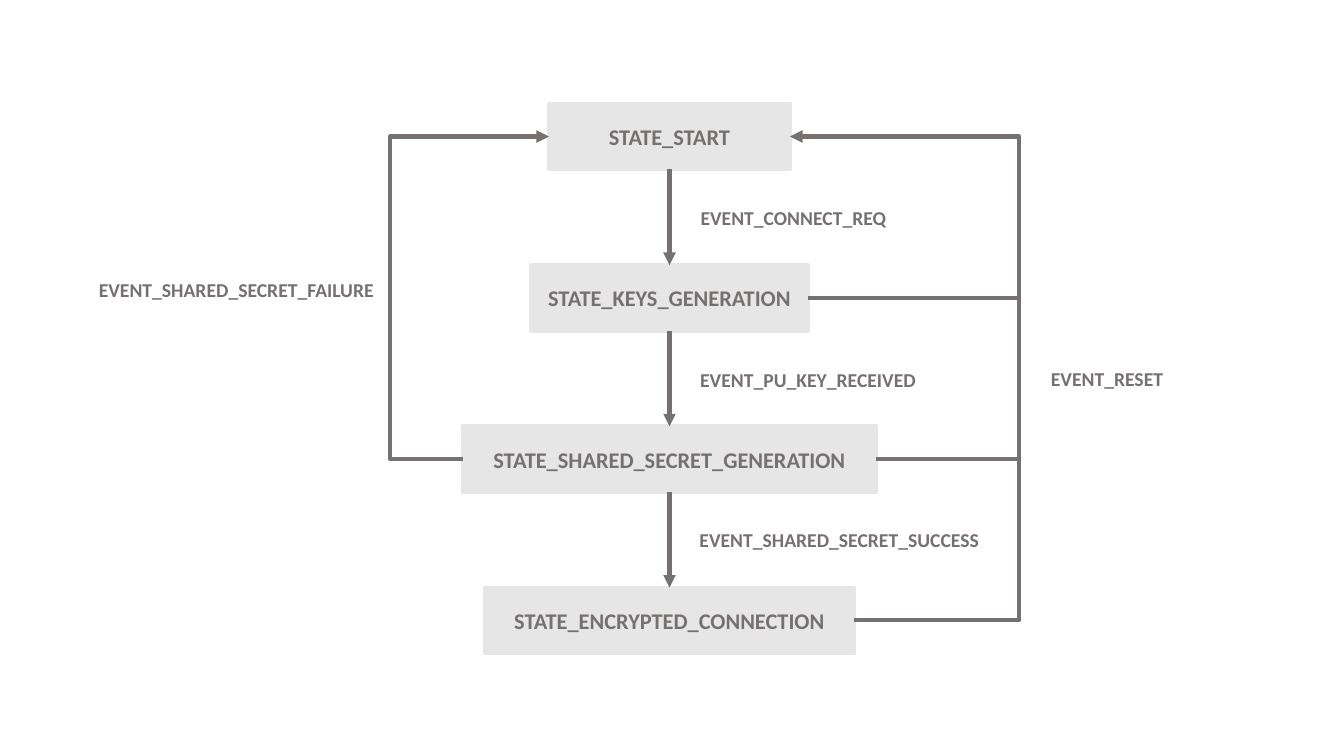
from lxml.etree import SubElement
from pptx import Presentation
from pptx.dml.color import RGBColor
from pptx.enum.shapes import MSO_CONNECTOR, MSO_SHAPE
from pptx.enum.text import MSO_ANCHOR, PP_ALIGN
from pptx.oxml.ns import qn
from pptx.util import Inches, Pt

GREY = RGBColor.from_string("767171")
BOX_FILL = RGBColor.from_string("E7E6E6")
CENTRE_X = 6.64
BOX_HEIGHT = 0.65
FIRST_TOP, STATE_STEP = 1.03, 1.6
FAILURE_X, RESET_X = 3.87, 10.11
TOP, LEFT, BOTTOM, RIGHT = range(4)


def write_text(shape, text, size, anchor=MSO_ANCHOR.TOP):
    frame = shape.text_frame
    frame.word_wrap = True
    frame.vertical_anchor = anchor
    paragraph = frame.paragraphs[0]
    paragraph.alignment = PP_ALIGN.CENTER
    run = paragraph.add_run()
    run.text = text
    run.font.name = "Calibri"
    run.font.size = Pt(size)
    run.font.bold = True
    run.font.color.rgb = GREY


def add_line(start, end, arrow=True, bend_x=None):
    """Draw a straight line, or an elbow whose vertical part is at bend_x."""
    kind = MSO_CONNECTOR.STRAIGHT if bend_x is None else MSO_CONNECTOR.ELBOW
    connector = slide.shapes.add_connector(
        kind, *(Inches(value) for value in (*start, *end)))
    connector.line.color.rgb = GREY
    connector.line.width = Pt(3)
    properties = connector.element.spPr
    SubElement(properties, qn("a:effectLst"))
    if arrow:
        SubElement(properties.find(qn("a:ln")), qn("a:tailEnd"), type="triangle")
    if bend_x is not None:
        bend = round((bend_x - start[0]) / (end[0] - start[0]) * 100000)
        adjustments = properties.find(qn("a:prstGeom")).find(qn("a:avLst"))
        SubElement(adjustments, qn("a:gd"), name="adj1", fmla=f"val {bend}")
    return connector


presentation = Presentation()
presentation.slide_width = Inches(13.33)
presentation.slide_height = Inches(7.5)
slide = presentation.slides.add_slide(presentation.slide_layouts[6])

# State boxes, centred on one column
states = [
    ("STATE_START", 2.39),
    ("STATE_KEYS_GENERATION", 2.75),
    ("STATE_SHARED_SECRET_GENERATION", 4.1),
    ("STATE_ENCRYPTED_CONNECTION", 3.66),
]
boxes, tops, middles, lefts, rights = [], [], [], [], []
for index, (name, width) in enumerate(states):
    top = FIRST_TOP + index * STATE_STEP
    left = CENTRE_X - width / 2
    box = slide.shapes.add_shape(
        MSO_SHAPE.RECTANGLE, Inches(left), Inches(top), Inches(width), Inches(BOX_HEIGHT))
    box.shadow.inherit = False
    box.fill.solid()
    box.fill.fore_color.rgb = BOX_FILL
    box.line.color.rgb = BOX_FILL
    box.line.width = Pt(3)
    write_text(box, name, 16, anchor=MSO_ANCHOR.MIDDLE)
    boxes.append(box)
    tops.append(top)
    middles.append(top + BOX_HEIGHT / 2)
    lefts.append(left)
    rights.append(left + width)

# Forward transitions
for index in range(len(states) - 1):
    arrow = add_line((CENTRE_X, tops[index] + BOX_HEIGHT), (CENTRE_X, tops[index + 1]))
    arrow.begin_connect(boxes[index], BOTTOM)
    arrow.end_connect(boxes[index + 1], TOP)

# Transitions back to the start state
failure = add_line((lefts[2], middles[2]), (lefts[0], middles[0]), bend_x=FAILURE_X)
failure.begin_connect(boxes[2], LEFT)
failure.end_connect(boxes[0], LEFT)
reset = add_line((rights[3], middles[3]), (rights[0], middles[0]), bend_x=RESET_X)
reset.begin_connect(boxes[3], RIGHT)
reset.end_connect(boxes[0], RIGHT)
for index in (1, 2):
    branch = add_line((rights[index], middles[index]), (RESET_X, middles[index]), arrow=False)
    branch.begin_connect(boxes[index], RIGHT)

# Event labels
events = [
    ("EVENT_CONNECT_REQ", 6.82, 1.99, 2.1),
    ("EVENT_PU_KEY_RECEIVED", 6.82, 3.6, 2.39),
    ("EVENT_SHARED_SECRET_SUCCESS", 6.82, 5.19, 3.01),
    ("EVENT_RESET", 10.12, 3.59, 1.72),
    ("EVENT_SHARED_SECRET_FAILURE", 0.84, 2.71, 3.01),
]
for name, left, top, width in events:
    label = slide.shapes.add_textbox(Inches(left), Inches(top), Inches(width), Inches(0.34))
    write_text(label, name, 14)

presentation.save("out.pptx")
